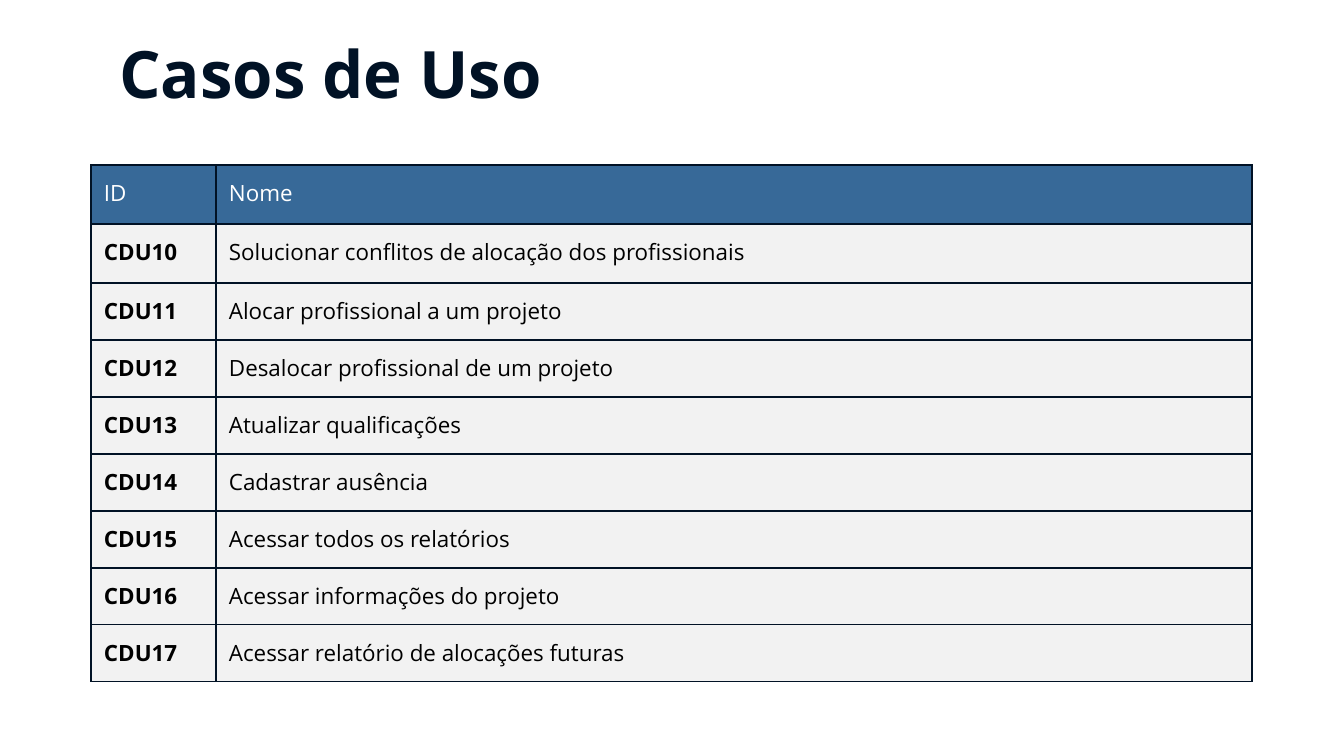
from dataclasses import dataclass

from lxml.etree import SubElement
from pptx import Presentation
from pptx.dml.color import RGBColor
from pptx.enum.text import MSO_ANCHOR, MSO_AUTO_SIZE, PP_ALIGN
from pptx.oxml.ns import qn
from pptx.util import Emu, Pt

PX_PER_INCH = 134.4


@dataclass(frozen=True)
class Theme:
    font: str = "Open Sans"
    ink: str = "011225"
    header_fill: str = "376998"
    header_text: str = "FFFFFF"
    body_fill: str = "F2F2F2"
    body_text: str = "000000"
    title_size: int = 35
    table_size: int = 12
    border_width: float = 0.75
    inset: int = 13


THEME = Theme()
HEADER = ("ID", "Nome")
FIRST_NUMBER = 10
USE_CASES = [
    "Solucionar conflitos de alocação dos profissionais",
    "Alocar profissional a um projeto",
    "Desalocar profissional de um projeto",
    "Atualizar qualificações",
    "Cadastrar ausência",
    "Acessar todos os relatórios",
    "Acessar informações do projeto",
    "Acessar relatório de alocações futuras",
]


def px(length):
    return Emu(round(length * 914400 / PX_PER_INCH))


def style_text(para, size, color, bold):
    for span in para.runs:
        span.font.name = THEME.font
        span.font.size = Pt(size)
        span.font.bold = bold
        span.font.color.rgb = RGBColor.from_string(color)


def set_insets(target):
    target.margin_left = target.margin_right = px(THEME.inset)
    target.margin_top = target.margin_bottom = px(THEME.inset)


def add_borders(cell):
    properties = cell._tc.get_or_add_tcPr()
    for position, side in enumerate(("a:lnL", "a:lnR", "a:lnT", "a:lnB")):
        line = SubElement(properties, qn(side), w=str(Pt(THEME.border_width)))
        fill = SubElement(line, qn("a:solidFill"))
        SubElement(fill, qn("a:srgbClr"), val=THEME.ink)
        properties.insert(position, line)


def place_title(page, text, left, top, width, height):
    title = page.shapes.title
    title.left, title.top = px(left), px(top)
    title.width, title.height = px(width), px(height)
    frame = title.text_frame
    frame.text = text
    frame.word_wrap = True
    frame.auto_size = MSO_AUTO_SIZE.NONE
    frame.vertical_anchor = MSO_ANCHOR.TOP
    set_insets(frame)
    para = frame.paragraphs[0]
    para.alignment = PP_ALIGN.LEFT
    para.line_spacing = 0.95
    style_text(para, THEME.title_size, THEME.ink, True)


def fill_cell(cell, text, fill, color, bold):
    cell.text = text
    cell.fill.solid()
    cell.fill.fore_color.rgb = RGBColor.from_string(fill)
    set_insets(cell)
    add_borders(cell)
    style_text(cell.text_frame.paragraphs[0], THEME.table_size, color, bold)


def place_use_cases(page, left, top, column_widths, row_heights):
    records = [HEADER] + [
        (f"CDU{number}", name) for number, name in enumerate(USE_CASES, FIRST_NUMBER)
    ]
    table = page.shapes.add_table(
        len(records), len(HEADER), px(left), px(top),
        px(sum(column_widths)), px(sum(row_heights)),
    ).table
    for column, width in zip(table.columns, column_widths):
        column.width = px(width)
    for row, height in zip(table.rows, row_heights):
        row.height = px(height)
    for row_index, record in enumerate(records):
        is_header = row_index == 0
        fill = THEME.header_fill if is_header else THEME.body_fill
        color = THEME.header_text if is_header else THEME.body_text
        for column_index, text in enumerate(record):
            bold = column_index == 0 and not is_header
            fill_cell(table.cell(row_index, column_index), text, fill, color, bold)


def main():
    deck = Presentation()
    deck.slide_width, deck.slide_height = px(1344), px(756)
    page = deck.slides.add_slide(deck.slide_layouts[5])
    place_title(page, "Casos de Uso", 106, 26, 1133, 85)
    place_use_cases(page, 91, 165, (125, 1036), [59] * 2 + [57] * 7)
    deck.save("out.pptx")


if __name__ == "__main__":
    main()
